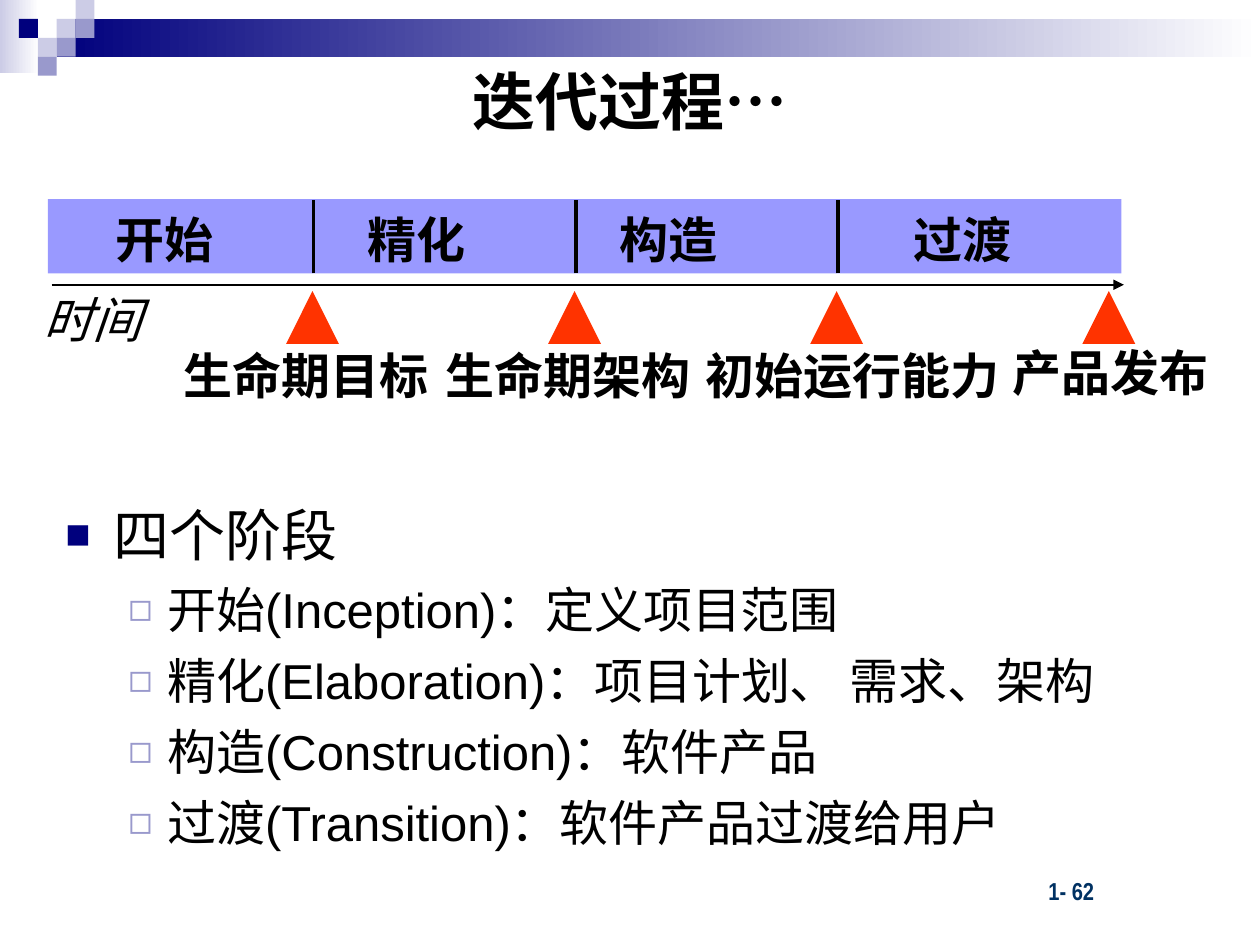
from lxml import etree
from pptx import Presentation, util as u
from pptx.dml.color import RGBColor
from pptx.enum import shapes, text
from pptx.oxml.ns import qn


def rgb(value):
    return RGBColor.from_string(value)


class Deck:
    """Draws styled elements on the current slide."""

    font, ink, navy, lilac, mist = "Arial", "000000", "00007D", "9999CC", "CCCCE6"

    def __init__(self, prs):
        self.s = prs.slides.add_slide(prs.slide_layouts[6])

    def shape(self, kind, x, y, w, h, color, fade=None):
        sp = self.s.shapes.add_shape(kind, *map(u.Inches, (x, y, w, h)))
        sp.shadow.inherit = False
        sp.line.fill.background()
        if fade:
            sp.fill.gradient()
            sp.fill.gradient_angle = 0
            for stop, value in zip(sp.fill.gradient_stops, (color, fade)):
                stop.color.rgb = rgb(value)
        else:
            sp.fill.solid()
            sp.fill.fore_color.rgb = rgb(color)
        return sp

    def rect(self, *args, **kwargs):
        return self.shape(shapes.MSO_SHAPE.RECTANGLE, *args, **kwargs)

    def line(self, x1, y1, x2, y2, width, arrow=False):
        ends = map(u.Inches, (x1, y1, x2, y2))
        cn = self.s.shapes.add_connector(shapes.MSO_CONNECTOR.STRAIGHT, *ends)
        cn.line.width = u.Pt(width)
        cn.line.color.rgb = rgb(self.ink)
        if arrow:
            etree.SubElement(cn.line._get_or_add_ln(), qn("a:tailEnd"), type="triangle")
        etree.SubElement(cn._element.spPr, qn("a:effectLst"))

    def frame(self, x, y, w, h, wrap=True):
        tf = self.s.shapes.add_textbox(*map(u.Inches, (x, y, w, h))).text_frame
        tf.word_wrap = wrap
        return tf

    def run(self, p, words, size, color=ink, bold=False, italic=False, font=font):
        r = p.add_run()
        r.text = words
        r.font.size, r.font.name = u.Pt(size), font
        r.font.bold, r.font.italic = bold, italic
        r.font.color.rgb = rgb(color)

    def label(self, words, x, y, w, center=False, **style):
        tf = self.frame(x, y, w, 0.57, wrap=False)
        tf.auto_size = text.MSO_AUTO_SIZE.SHAPE_TO_FIT_TEXT
        p = tf.paragraphs[0]
        if center:
            p.alignment = text.PP_ALIGN.CENTER
        self.run(p, words, 28, **style)

    def bullet(self, p, words, size, char, color, scale, left, hang):
        pPr = p._p.get_or_add_pPr()
        pPr.set("marL", str(u.Inches(left)))
        pPr.set("indent", str(-u.Inches(hang)))
        tint = etree.SubElement(pPr, qn("a:buClr"))
        etree.SubElement(tint, qn("a:srgbClr"), val=color)
        etree.SubElement(pPr, qn("a:buSzPct"), val=str(scale * 1000))
        etree.SubElement(pPr, qn("a:buFont"), typeface=self.font)
        etree.SubElement(pPr, qn("a:buChar"), char=char)
        self.run(p, words, size)


def draw_banner(d):
    cell = 0.15
    d.rect(0, 0, 0.31, 0.58, d.mist, fade="FFFFFF")
    d.rect(0.45, cell, 9.55, 0.3, d.navy, fade="FFFFFF")
    cells = [(3, 1, d.mist), (4, 0, d.mist), (4, 1, d.lilac), (2, 2, d.mist),
             (1, 1, d.navy), (3, 2, d.lilac), (2, 3, d.lilac)]
    for col, row, color in cells:
        d.rect(col * cell, row * cell, cell, cell, color)


def draw_timeline(d):
    d.rect(0.38, 1.58, 8.52, 0.59, "9999FF")
    dividers = [2.49 + 2.08 * i for i in range(3)]
    for x in dividers:
        d.line(x, 2.17, x, 1.59, 2)
    for name, x in zip(("开始", "精化", "构造", "过渡"), (0.82, 2.82, 4.82, 7.15)):
        d.label(name, x, 1.61, 0.98, bold=True)
    d.line(0.41, 2.26, 8.92, 2.26, 1, arrow=True)
    d.label("时间", 0.25, 2.25, 0.98, italic=True)
    milestones = [("生命期目标", 1.36, 2.69, 2.14), ("生命期架构", 3.44, 2.69, 2.14),
                  ("初始运行能力", 5.5, 2.69, 2.53), ("产品发布", 7.94, 2.67, 1.75)]
    for milestone in milestones:
        d.label(*milestone, center=True, bold=True)
    size = 0.42
    for x in dividers + [8.81]:
        d.shape(shapes.MSO_SHAPE.ISOSCELES_TRIANGLE, x - size / 2 - 0.01, 2.31, size, size, "FF3300")


def draw_phases(d):
    tf = d.frame(0.42, 3.92, 9.17, 3.08)
    d.bullet(tf.paragraphs[0], "四个阶段", 32, "■", d.navy, 75, 0.38, 0.38)
    for words in ("开始(Inception)：定义项目范围",
                  "精化(Elaboration)：项目计划、 需求、架构",
                  "构造(Construction)：软件产品",
                  "过渡(Transition)：软件产品过渡给用户"):
        p = tf.add_paragraph()
        p.level = 1
        p.space_before = u.Pt(7)
        d.bullet(p, words, 28, "◻", d.lilac, 80, 0.81, 0.31)


def main():
    prs = Presentation()
    prs.slide_width, prs.slide_height = u.Inches(10), u.Inches(7.5)
    d = Deck(prs)
    draw_banner(d)
    number = d.frame(7.28, 6.9, 2.08, 0.33)
    number.margin_left = u.Inches(1.04)
    d.run(number.paragraphs[0], "1- 62", 14, "003162", bold=True, font="Arial Narrow")
    heading = d.frame(0.5, 0.5, 9, 1.2)
    heading.margin_top = 0
    title = heading.paragraphs[0]
    title.alignment = text.PP_ALIGN.CENTER
    d.run(title, "迭代过程…", 36, bold=True)
    draw_phases(d)
    draw_timeline(d)
    prs.save("out.pptx")


if __name__ == "__main__":
    main()
